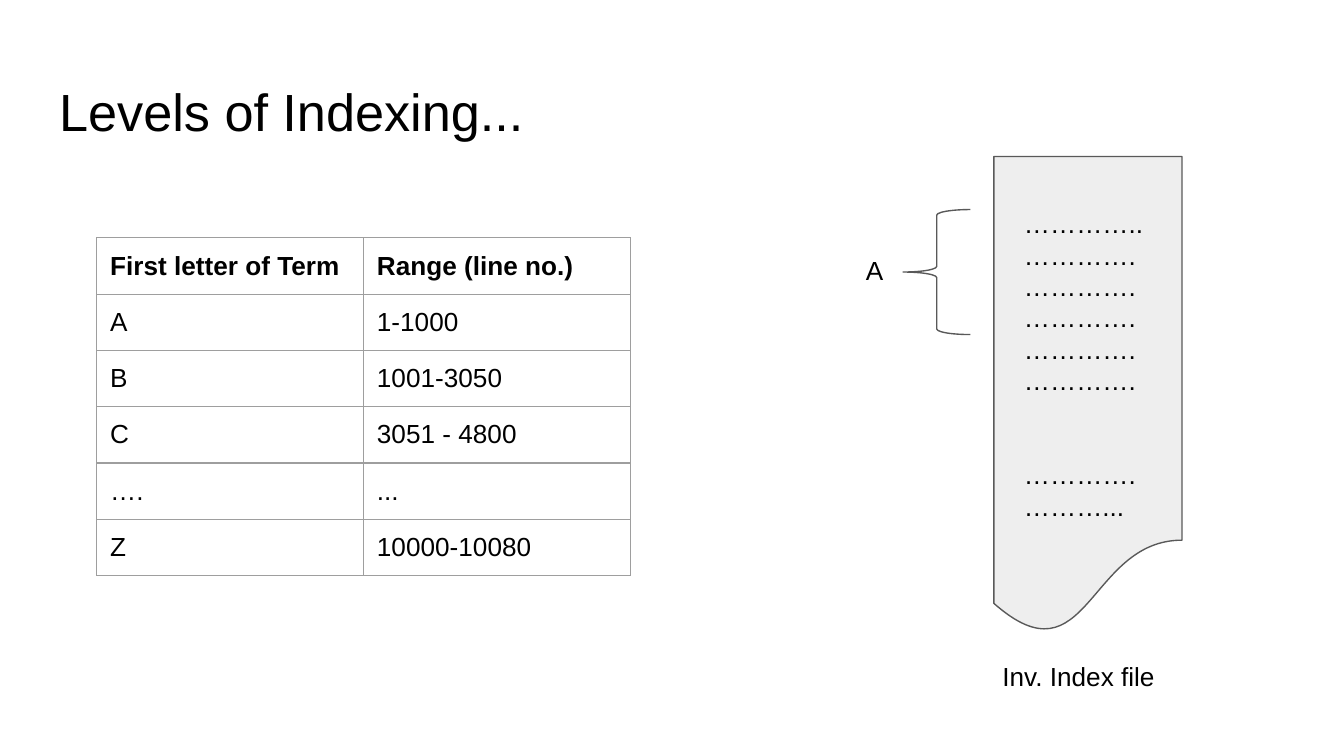
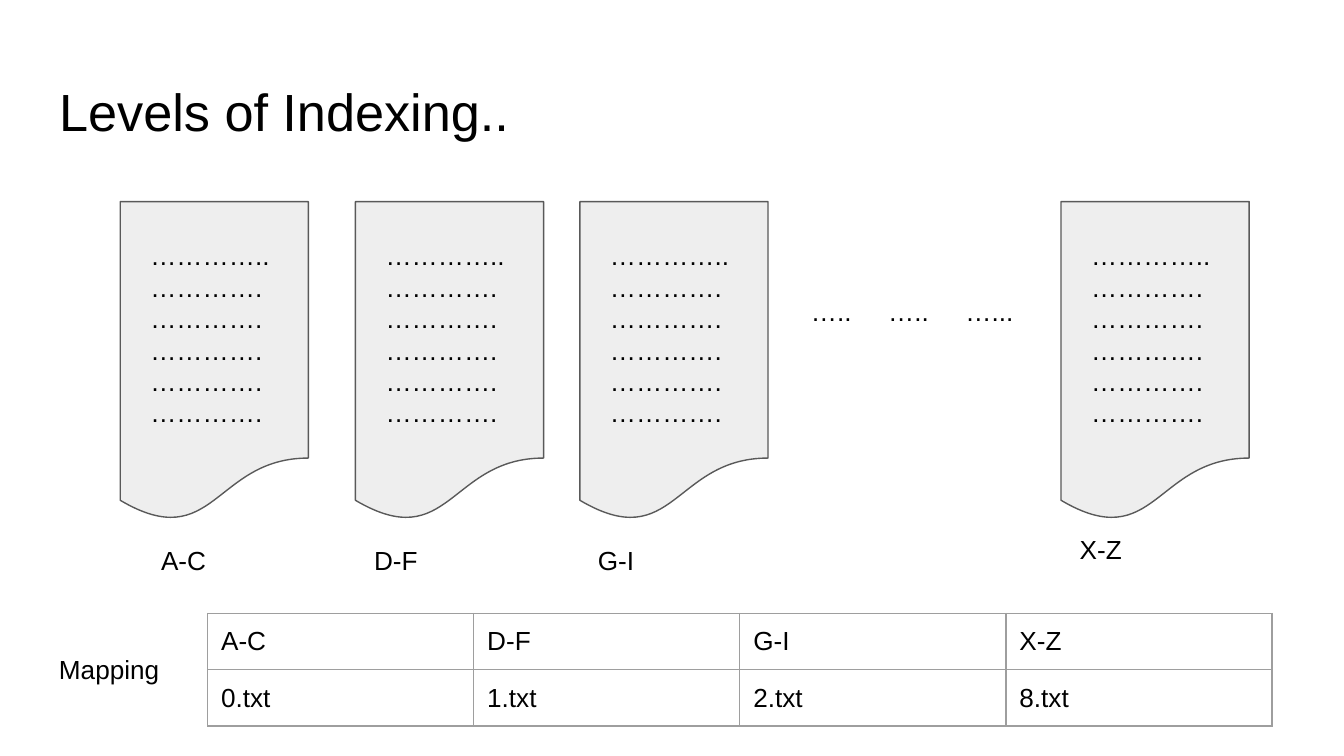
import pptx
import pptx.util
import pptx.dml.color
import pptx.enum.shapes
import pptx.enum.text
import pptx.oxml
import pptx.oxml.ns
from lxml import etree

# Content
INDEX_TITLE = "Levels of Indexing..."
LETTER_RANGES = [
    ("First letter of Term", "Range (line no.)"),
    ("A", "1-1000"),
    ("B", "1001-3050"),
    ("C", "3051 - 4800"),
    ("….", "..."),
    ("Z", "10000-10080"),
]
POSTINGS = ["………….."] + ["…………."] * 5
LAST_POSTINGS = ["………….", "………..."]

SPLIT_TITLE = "Levels of Indexing.."
FILE_MAPPING = [("A-C", "D-F", "G-I", "X-Z"), ("0.txt", "1.txt", "2.txt", "8.txt")]
SKIPPED_FILES = "…..\t…..\t…..."
FILE_LEFTS = [179, 529, 863, 1579]
LABEL_PLACES = [(220, 790), (537, 790), (870, 790), (1587, 774)]

# Shared look, lengths in px at 200 px to the inch
EMU_PER_PX = 4572
SLIDE_SIZE = (2000, 1125)
FONT = "Arial"
INK, PAPER, OUTLINE, RULE = "000000", "EEEEEE", "595959", "9E9E9E"
BODY_SIZE, BODY_LEADING = 14, 16.8
TITLE_SIZE, TITLE_LEADING = 28, 33.4
TITLE_BOX = (68, 98, 1864, 126)
INSET, ROW_HEIGHT, FILE_WIDTH = 20, 83, 280
POSTING_INDENT, POSTING_WIDTH = 25, 236
TAB_STEP = 115


def px(length):
    return pptx.util.Emu(length * EMU_PER_PX)


def color(code):
    return pptx.dml.color.RGBColor.from_string(code)


def style_text(frame, size, leading=None, bold=False):
    for paragraph in frame.paragraphs:
        paragraph.alignment = pptx.enum.text.PP_ALIGN.LEFT
        if leading:
            paragraph.line_spacing = pptx.util.Pt(leading)
        for run in paragraph.runs:
            run.font.name = FONT
            run.font.size = pptx.util.Pt(size)
            run.font.bold = bold
            run.font.color.rgb = color(INK)


def set_frame(frame):
    frame.word_wrap = True
    frame.auto_size = pptx.enum.text.MSO_AUTO_SIZE.NONE
    frame.vertical_anchor = pptx.enum.text.MSO_ANCHOR.TOP
    frame.margin_left = frame.margin_right = px(INSET)
    frame.margin_top = frame.margin_bottom = px(INSET)


def add_titled_slide(deck, text):
    slide = deck.slides.add_slide(deck.slide_layouts[5])
    title = slide.shapes.title
    title.left, title.top, title.width, title.height = map(px, TITLE_BOX)
    title.text_frame.text = text
    set_frame(title.text_frame)
    style_text(title.text_frame, TITLE_SIZE, TITLE_LEADING)
    return slide


def add_text(slide, text, *box):
    frame = slide.shapes.add_textbox(*map(px, box)).text_frame
    frame.text = text
    set_frame(frame)
    style_text(frame, BODY_SIZE, BODY_LEADING)
    return frame


def add_outlined(slide, preset, box, fill=None):
    shape = slide.shapes.add_shape(preset, *map(px, box))
    shape.shadow.inherit = False
    if fill:
        shape.fill.solid()
        shape.fill.fore_color.rgb = color(fill)
    else:
        shape.fill.background()
    shape.line.color.rgb = color(OUTLINE)
    shape.line.width = pptx.util.Pt(0.75)


def add_file(slide, left, top, height, lines, lines_top, lines_height):
    add_outlined(slide, pptx.enum.shapes.MSO_SHAPE.FLOWCHART_DOCUMENT,
                 (left, top, FILE_WIDTH, height), PAPER)
    return add_text(slide, "\n".join(lines), left + POSTING_INDENT, lines_top,
                    POSTING_WIDTH, lines_height)


def set_borders(cell):
    properties = cell._tc.get_or_add_tcPr()
    for position, side in enumerate("LRTB"):
        border = pptx.oxml.parse_xml(
            f'<a:ln{side} {pptx.oxml.ns.nsdecls("a")} w="{pptx.util.Pt(0.75)}">'
            f'<a:solidFill><a:srgbClr val="{RULE}"/></a:solidFill></a:ln{side}>')
        properties.insert(position, border)


def add_grid(slide, rows, left, top, column_width, header=False):
    columns = len(rows[0])
    table = slide.shapes.add_table(
        len(rows), columns, px(left), px(top),
        px(column_width * columns), px(ROW_HEIGHT * len(rows))).table
    table.first_row = table.horz_banding = False
    for r, row in enumerate(rows):
        for c, text in enumerate(row):
            cell = table.cell(r, c)
            cell.text_frame.text = text
            cell.margin_left = cell.margin_right = px(INSET)
            cell.margin_top = cell.margin_bottom = px(INSET)
            style_text(cell.text_frame, BODY_SIZE, bold=header and r == 0)
            cell.fill.background()
            set_borders(cell)


def set_tabs(paragraph, stops):
    tabs = etree.SubElement(paragraph._p.get_or_add_pPr(), pptx.oxml.ns.qn("a:tabLst"))
    for stop in stops:
        etree.SubElement(tabs, pptx.oxml.ns.qn("a:tab"), pos=str(px(stop)), algn="l")


def build_index_slide(deck):
    slide = add_titled_slide(deck, INDEX_TITLE)
    postings = add_file(slide, 1479, 233, 712, POSTINGS + LAST_POSTINGS, 289, 488)
    # Two lines of gap before the last postings
    postings.paragraphs[len(POSTINGS)].space_before = pptx.util.Pt(2 * BODY_LEADING)
    add_grid(slide, LETTER_RANGES, 144, 354, 397, header=True)
    add_outlined(slide, pptx.enum.shapes.MSO_SHAPE.LEFT_BRACE, (1344, 312, 100, 186))
    add_text(slide, "A", 1269, 358, 100, 104)
    add_text(slide, "Inv. Index file", 1472, 963, 308, 68)


def build_split_slide(deck):
    slide = add_titled_slide(deck, SPLIT_TITLE)
    for left in FILE_LEFTS:
        add_file(slide, left, 300, 476, POSTINGS, 337, 326)
    skipped = add_text(slide, SKIPPED_FILES, 1187, 420, 344, 176)
    set_tabs(skipped.paragraphs[0], [TAB_STEP, 2 * TAB_STEP])
    for letters, (left, top) in zip(FILE_MAPPING[0], LABEL_PLACES):
        add_text(slide, letters, left, top, 240, 106)
    add_grid(slide, FILE_MAPPING, 309, 913, 396)
    add_text(slide, "Mapping", 68, 953, 200, 106)


def main():
    deck = pptx.Presentation()
    deck.slide_width, deck.slide_height = map(px, SLIDE_SIZE)
    build_index_slide(deck)
    build_split_slide(deck)
    deck.save("out.pptx")


if __name__ == "__main__":
    main()
